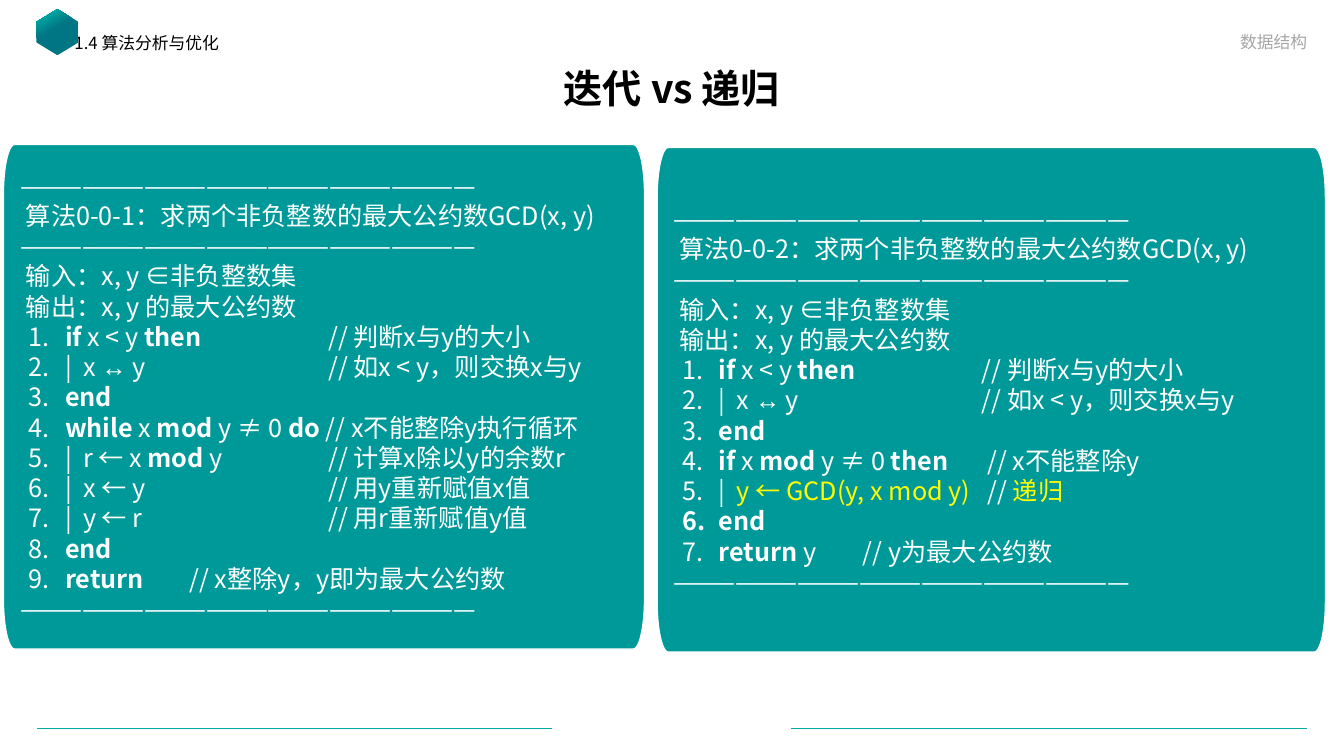
from math import cos, pi, sin

from lxml.etree import SubElement
from pptx import Presentation
from pptx.dml.color import RGBColor
from pptx.enum.shapes import MSO_CONNECTOR, MSO_SHAPE
from pptx.enum.text import MSO_ANCHOR as ANCHOR, MSO_AUTO_SIZE, PP_ALIGN as ALIGN
from pptx.oxml.ns import qn
from pptx.util import Pt

BLACK = RGBColor(0x00, 0x00, 0x00)
WHITE = RGBColor(0xFF, 0xFF, 0xFF)
GRAY = RGBColor(0xA6, 0xA6, 0xA6)
YELLOW = RGBColor(0xFF, 0xFF, 0x00)
PANEL = RGBColor(0x00, 0x99, 0x99)
TEAL = RGBColor(0x00, 0xAB, 0xA5)
DARK_TEAL = RGBColor(0x00, 0x76, 0x84)
FONT = "Noto Sans CJK SC"
RULE = "—" * 22


def bold(text):
    return text, {"bold": True}


def yellow(text):
    return text, {"color": YELLOW}


def add_run(p, text, size=18, color=WHITE, bold=False, font=FONT):
    r = p.add_run()
    r.text = text
    f = r.font
    f.name, f.size, f.bold = font, Pt(size), bold
    f.color.rgb = color
    SubElement(r._r.get_or_add_rPr(), qn("a:ea")).set("typeface", font)


def number_paragraph(p, tab):
    """Number the paragraph as a code line, with one tab stop for its comment."""
    pPr = p._p.get_or_add_pPr()
    pPr.set("marL", str(Pt(28)))
    pPr.set("indent", str(Pt(-22)))
    SubElement(pPr, qn("a:buFont")).set("typeface", "+mj-lt")
    SubElement(pPr, qn("a:buAutoNum")).set("type", "arabicPeriod")
    if tab:
        stop = SubElement(SubElement(pPr, qn("a:tabLst")), qn("a:tab"))
        stop.set("pos", str(Pt(tab)))
        stop.set("algn", "l")


class Slide:
    def __init__(self, s):
        self.s = s

    def placeholder(self, idx, text, box, anchor, align, spacing=1.0, **fmt):
        ph = self.s.placeholders[idx]
        ph.left, ph.top, ph.width, ph.height = map(Pt, box)
        tf = ph.text_frame
        tf.auto_size, tf.vertical_anchor = MSO_AUTO_SIZE.NONE, anchor
        p = tf.paragraphs[0]
        pPr = p._p.get_or_add_pPr()
        pPr.set("marL", "0")
        pPr.set("indent", "0")
        SubElement(pPr, qn("a:buNone"))
        p.alignment, p.line_spacing, p.space_before = align, spacing, Pt(0)
        add_run(p, text, **fmt)

    def line(self, x1, x2, y):
        c = self.s.shapes.add_connector(MSO_CONNECTOR.STRAIGHT, Pt(x1), Pt(y), Pt(x2), Pt(y))
        c.line.color.rgb, c.line.width = TEAL, Pt(0.5)
        SubElement(c._element.spPr, qn("a:effectLst"))

    def hexagon(self, x, y, w, h):
        sp = self.s.shapes.add_shape(MSO_SHAPE.HEXAGON, Pt(x), Pt(y), Pt(w), Pt(h))
        sp.rotation, sp.shadow.inherit = 90, False
        sp.adjustments[0] = 0.305
        sp.line.fill.background()
        sp.fill.gradient()
        sp.fill.gradient_angle = 210
        for stop, at, color in zip(sp.fill.gradient_stops, (0.57, 0.87), (DARK_TEAL, TEAL)):
            stop.position, stop.color.rgb = at, color

    def panel(self, x, y, w, h, rx=8, ry=36):
        """Draw a rectangle with elliptical corners and return its text frame."""
        corners = ((x + w - rx, y + h - ry), (x + rx, y + h - ry),
                   (x + rx, y + ry), (x + w - rx, y + ry))
        points = []
        for quarter, (cx, cy) in enumerate(corners):
            for step in range(13):
                a = (quarter + step / 12) * pi / 2
                points.append((Pt(cx + rx * cos(a)), Pt(cy + ry * sin(a))))
        builder = self.s.shapes.build_freeform(*points[0], scale=1.0)
        builder.add_line_segments(points[1:], close=True)
        sp = builder.convert_to_shape()
        sp.shadow.inherit = False
        sp.fill.solid()
        sp.fill.fore_color.rgb = PANEL
        sp.line.color.rgb, sp.line.width = WHITE, Pt(1)
        tf = sp.text_frame
        tf.word_wrap, tf.vertical_anchor = True, ANCHOR.MIDDLE
        tf.margin_left = tf.margin_right = tf.margin_top = tf.margin_bottom = Pt(12)
        return tf

    def algorithm(self, box, heading, steps):
        """Fill a panel with a heading and steps, each a tab position and its runs."""
        tf = self.panel(*box)
        intro = (RULE, heading, RULE, " 输入：x, y ∈非负整数集", " 输出：x, y 的最大公约数")
        rows = [(None, [text]) for text in intro] + steps + [(None, [RULE])]
        for i, (tab, runs) in enumerate(rows):
            p = tf.paragraphs[0] if i == 0 else tf.add_paragraph()
            if len(intro) <= i < len(rows) - 1:
                number_paragraph(p, tab)
            p.alignment = ALIGN.LEFT
            for run in runs:
                text, fmt = (run, {}) if isinstance(run, str) else run
                add_run(p, text, **fmt)


COMMENT = 220
SWAP = [
    (COMMENT, [" ", bold("if"), " x < y ", bold("then\t"), "// 判断x与y的大小"]),
    (COMMENT, [" |  x ", ("↔", {"font": "Arial"}), " y\t// 如x < y，则交换x与y"]),
    (0, [" ", bold("end")]),
]
ITERATION = SWAP + [
    (0, [" ", bold("while"), " x ", bold("mod"), " y ≠ 0 ", bold("do "), "// x不能整除y执行循环"]),
    (COMMENT, [" |  r ← x ", bold("mod"), " y\t// 计算x除以y的余数r"]),
    (COMMENT, [" |  x ← y\t// 用y重新赋值x值"]),
    (COMMENT, [" |  y ← r\t// 用r重新赋值y值"]),
    (0, [" ", bold("end")]),
    (121, [" ", bold("return\t"), "// x整除y，y即为最大公约数"]),
]
RECURSION = SWAP + [
    (224, [" ", bold("if"), " x ", bold("mod"), " y ≠ 0 ", bold("then\t"), "// x不能整除y"]),
    (224, [" |  ", yellow("y ← GCD(y, x mod y)\t"), "// ", yellow("递归")]),
    (0, [bold(" end")]),
    (135, [" ", bold("return"), " y\t// y为最大公约数"]),
]


def main():
    prs = Presentation()
    prs.slide_width, prs.slide_height = Pt(960), Pt(540)
    slide = Slide(prs.slides.add_slide(prs.slide_layouts[3]))
    for x1, x2 in ((26.6, 394.6), (565.2, 933.8)):
        slide.line(x1, x2, 520)
    slide.hexagon(24.5, 8, 33, 30)
    slide.placeholder(0, "迭代 vs 递归", (66, 44.6, 828, 41), ANCHOR.MIDDLE, ALIGN.CENTER,
                      spacing=0.9, size=28, color=BLACK, bold=True)
    slide.placeholder(1, "1.4 算法分析与优化", (46, 21.6, 383, 26), ANCHOR.TOP, ALIGN.LEFT,
                      spacing=0.9, size=12, color=BLACK)
    slide.placeholder(2, "数据结构", (535, 15.8, 406, 25.2), ANCHOR.BOTTOM, ALIGN.RIGHT,
                      size=12, color=GRAY)
    slide.algorithm((2.4, 103.2, 458, 360.4), " 算法0-0-1：求两个非负整数的最大公约数GCD(x, y)", ITERATION)
    slide.algorithm((469.4, 105.4, 477.4, 360.4), " 算法0-0-2：求两个非负整数的最大公约数GCD(x, y)", RECURSION)
    prs.save("out.pptx")


if __name__ == "__main__":
    main()
